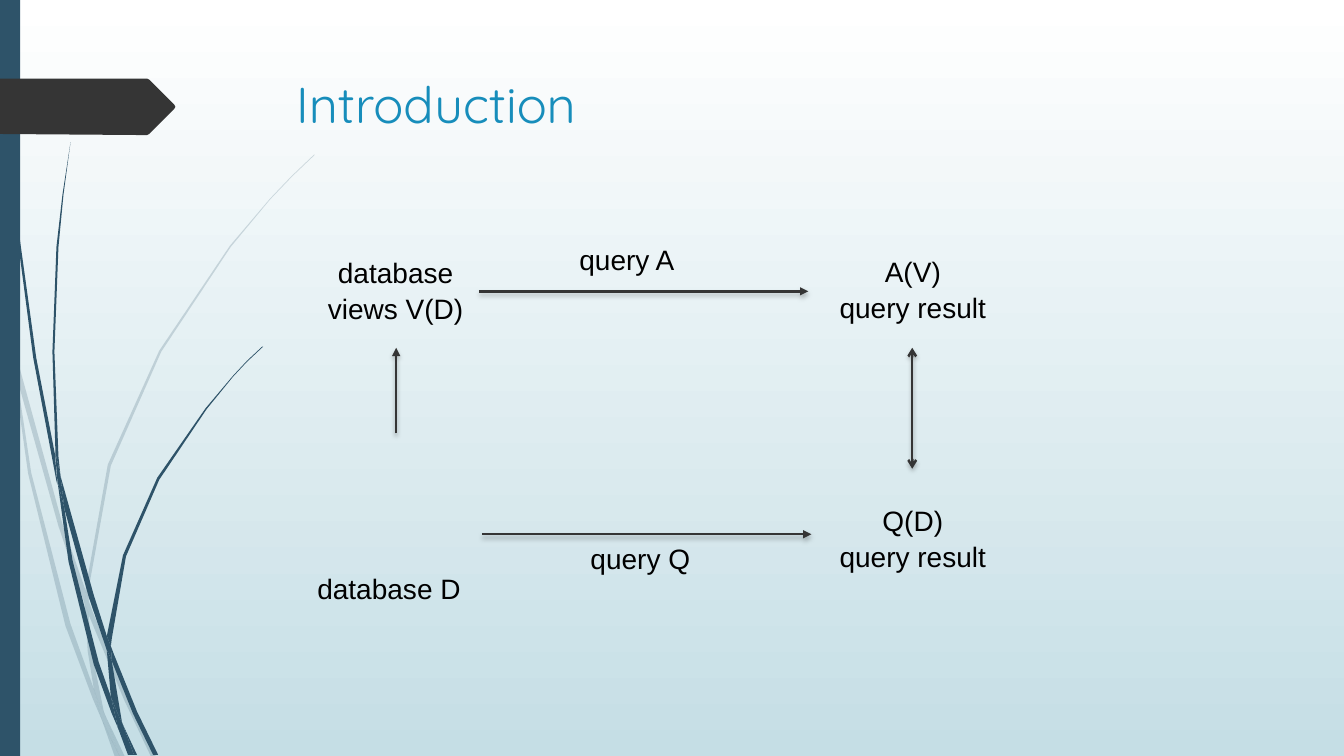
from dataclasses import dataclass

from lxml.etree import SubElement
from pptx import Presentation
from pptx.dml.color import RGBColor
from pptx.enum.shapes import MSO_CONNECTOR, MSO_SHAPE
from pptx.enum.text import MSO_AUTO_SIZE, PP_ALIGN
from pptx.oxml.ns import qn
from pptx.shapes.base import BaseShape
from pptx.slide import Slide
from pptx.util import Pt

STRAIGHT = MSO_CONNECTOR.STRAIGHT
RECT = MSO_SHAPE.RECTANGLE
GROW = MSO_AUTO_SIZE.SHAPE_TO_FIT_TEXT
LEFT, CENTER = PP_ALIGN.LEFT, PP_ALIGN.CENTER


@dataclass(frozen=True)
class Theme:
    blue: str = "2E5369"
    dark: str = "353535"
    title: str = "178DBB"
    black: str = "000000"
    sky: tuple[str, str] = ("FFFFFF", "C5DEE5")
    head_font: str = "Quicksand"
    body_font: str = "Arial"
    head_size: float = 36
    body_size: float = 20
    stroke: float = 1.75
    unit: float = 0.72  # grid step of the outlines


@dataclass(frozen=True)
class Label:
    text: str
    x: float
    y: float
    width: float
    height: float = 34.6
    align: PP_ALIGN = LEFT


@dataclass(frozen=True)
class Arrow:
    start: tuple[float, float]
    end: tuple[float, float]
    tail: str = "triangle"
    head: str = "none"


THEME = Theme()

# Outlines on the grid: x,y pairs
PALE = (
    "11,350 9,322 0,282 0,299 10,344",
    "58,522 84,599 85,586 62,520 14,345 17,376",
    "92,607 88,596 88,610 123,694 150,751 155,751 127,692",
    "119,751 124,751 105,711",
    "93,683 70,619 31,469 17,376 11,350 28,470 65,621 92,693 101,714 99,707",
    "84,599 87,646 93,683 96,692 105,711 103,706 91,646 88,610 88,608",
    "88,584 110,462 160,349 229,245 268,198 290,175 312,154 312,153 289,175 "
    "268,197 228,244 158,348 107,461 85,584 85,586 88,596",
    "101,714 114,751 119,751",
    "88,608 88,610 88,596 85,586 84,599",
    "96,692 93,683 99,707 101,714 119,751 105,711",
)
DEEP = (
    "7,110 17,233 33,355 56,477 57,481 55,457 55,453 36,355 19,232 8,109 5,48 "
    "4,0 3,0 4,48",
    "88,592 106,645 106,633 106,631 93,590 60,472 64,505",
    "113,649 110,641 111,656 132,708 152,749 157,749 136,706",
    "110,691 98,657 72,556 64,505 57,477 68,557 93,659 111,708 117,722 116,717",
    "60,472 58,453 54,349 58,245 63,193 70,141 62,193 56,245 52,349 55,449",
    "133,749 136,749 122,719",
    "57,477 64,505 60,472 55,449 55,453",
    "111,633 125,552 158,476 205,406 231,374 245,359 261,344 260,344 245,358 "
    "231,373 204,405 156,474 122,551 106,631 110,641",
    "117,722 127,749 131,749",
    "106,645 110,691 116,706 122,719 121,716 111,656 109,651",
    "106,645 109,651 111,656 110,641 106,631 106,633",
    "116,706 110,691 116,717 117,722 130,749 133,749 122,719",
)
FLAG = "173,108 148,133 146,134 136,134 0,133 0,78 136,78 146,78 148,79 173,104 174,106"

LABELS = (
    Label("query A", 406.8, 168.5, 91.4),
    Label("database D", 219.6, 403.2, 124.6),
    Label("database\nviews V(D)", 220.3, 177.8, 124.6, 60.5, CENTER),
    Label("Q(D)\nquery result", 585.4, 355, 133.2, 60.5, CENTER),
    Label("query Q", 414.7, 381.6, 91.4),
    Label("A(V)\nquery result", 585.4, 177.1, 133.2, 60.5, CENTER),
)
ARROWS = (
    Arrow((344.2, 381.6), (579.6, 381.6)),
    Arrow((342, 208.1), (577.4, 208.1)),
    Arrow((283, 309.6), (283, 248.4)),
    Arrow((651.6, 334.8), (651.6, 248.4), "arrow", "arrow"),
)


def rgb(code: str) -> RGBColor:
    return RGBColor.from_string(code)


def paint(shape: BaseShape, code: str, alpha: int = 100) -> None:
    shape.shadow.inherit = False
    shape.line.fill.background()
    shape.fill.solid()
    shape.fill.fore_color.rgb = rgb(code)
    if alpha < 100:
        color = shape.element.spPr.find(f"{qn('a:solidFill')}/{qn('a:srgbClr')}")
        SubElement(color, qn("a:alpha"), val=str(alpha * 1000))


def draw_form(slide: Slide, knots: str, code: str, alpha: int = 100) -> None:
    pairs = [tuple(map(int, knot.split(","))) for knot in knots.split()]
    form = slide.shapes.build_freeform(*pairs[0], scale=Pt(THEME.unit))
    form.add_line_segments(pairs[1:], close=True)
    paint(form.convert_to_shape(), code, alpha)


def write(slide: Slide, label: Label, *, font: str = THEME.body_font,
          size: float = THEME.body_size, code: str = THEME.black,
          wrap: bool = False, pitch: float = 1.06) -> None:
    box = slide.shapes.add_textbox(
        Pt(label.x), Pt(label.y), Pt(label.width), Pt(label.height))
    frame = box.text_frame
    frame.word_wrap = wrap
    if not wrap:
        frame.auto_size = GROW
    frame.text = label.text
    for line in frame.paragraphs:
        line.alignment = label.align
        line.line_spacing = pitch
        line.font.name = font
        line.font.size = Pt(size)
        line.font.color.rgb = rgb(code)


def draw_arrow(slide: Slide, arrow: Arrow) -> None:
    ends = (Pt(v) for v in arrow.start + arrow.end)
    link = slide.shapes.add_connector(STRAIGHT, *ends)
    link.line.color.rgb = rgb(THEME.dark)
    link.line.width = Pt(THEME.stroke)
    props = link.element.spPr
    stroke = props.find(qn("a:ln"))
    SubElement(stroke, qn("a:headEnd"), type=arrow.head)
    SubElement(stroke, qn("a:tailEnd"), type=arrow.tail)
    # Soft shade straight below the line
    shade = SubElement(
        SubElement(props, qn("a:effectLst")), qn("a:outerShdw"),
        blurRad=str(Pt(3)), dist=str(Pt(2)), dir="5400000", rotWithShape="0")
    color = SubElement(shade, qn("a:srgbClr"), val=THEME.black)
    SubElement(color, qn("a:alpha"), val="25000")


def main() -> None:
    deck = Presentation()
    deck.slide_width, deck.slide_height = Pt(960), Pt(540)
    slide = deck.slides.add_slide(deck.slide_layouts[6])

    # Sky
    sky = slide.background.fill
    sky.gradient()
    sky.gradient_angle = 270
    for stop, code, place in zip(sky.gradient_stops, THEME.sky, (0, 1)):
        stop.color.rgb = rgb(code)
        stop.position = place

    # Grass, side bar and flag
    for knots in PALE:
        draw_form(slide, knots, THEME.blue, 20)
    for knots in DEEP:
        draw_form(slide, knots, THEME.blue)
    bar = slide.shapes.add_shape(RECT, Pt(0), Pt(0), Pt(14.4), Pt(540))
    paint(bar, THEME.blue)
    draw_form(slide, FLAG, THEME.dark)

    # Title
    write(slide, Label("Introduction", 204.5, 49, 702, 100.8),
          font=THEME.head_font, size=THEME.head_size, code=THEME.title,
          wrap=True, pitch=1)

    # Query diagram
    for label in LABELS:
        write(slide, label)
    for arrow in ARROWS:
        draw_arrow(slide, arrow)

    deck.save("out.pptx")


if __name__ == "__main__":
    main()
